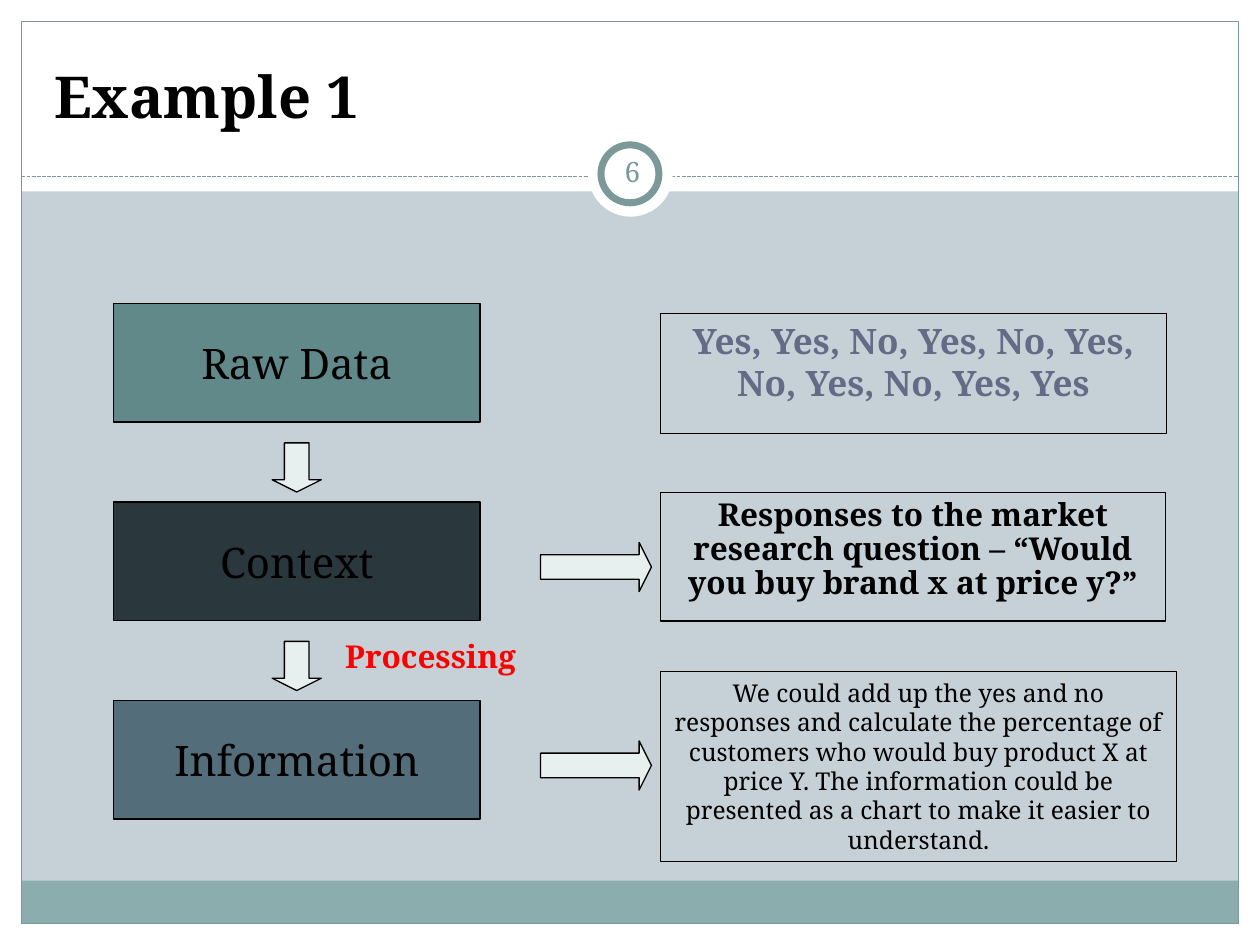
"""Build the Example 1 slide: raw data, context and information as a flow."""
from lxml import etree
from pptx import Presentation
from pptx.dml.color import RGBColor
from pptx.enum.dml import MSO_LINE
from pptx.enum.shapes import MSO_CONNECTOR, MSO_SHAPE
from pptx.enum.text import MSO_ANCHOR, MSO_AUTO_SIZE, PP_ALIGN
from pptx.oxml.ns import qn
from pptx.util import Inches, Pt

THEME = dict(
    font="Noto Serif", ground="C5D1D7", white="FFFFFF", black="000000",
    frame="7C999A", footer="8CADAE", arrow="E8EFEF", red="FF0000", violet="646B86",
    title=33, stage=24, answers=20, strong=18, number=16, body=14, hairline=0.75, ring=4,
)
WIDTH, HEIGHT, EDGE = 10, 7.5, 0.17
STAGE_LEFT, STAGE_TOP, STAGE_W, STAGE_H, PITCH = 0.9, 2.41, 2.91, 0.94, 1.575
ARROW, ARROW_LONG, ARROW_LEFT = 0.39, 0.88, 4.29
NOTE_LEFT = 5.24

STAGES = [("Raw Data", "61898A"), ("Context", "2A373D"), ("Information", "546D7A")]
NOTES = [
    dict(text="Yes, Yes, No, Yes, No, Yes, No, Yes, No, Yes, Yes", box=(2.49, 4.02, 0.95),
         size="answers", color="violet", bold=True, before=4),
    dict(text="Responses to the market research question – “Would you buy brand x at price y?”",
         box=(3.91, 4.01, 1.02), size="strong", bold=True, before=3.6, spacing=0.9),
    dict(text="We could add up the yes and no responses and calculate the percentage of "
              "customers who would buy product X at price Y. The information could be "
              "presented as a chart to make it easier to understand.",
         box=(5.33, 4.1, 1.51), size="body"),
]
BANDS = [
    ((0, HEIGHT - EDGE, WIDTH, EDGE), "white"),
    ((0, 0, WIDTH, 1.52), "white"),
    ((0, 0, EDGE, HEIGHT), "white"),
    ((WIDTH - EDGE, 0, EDGE, HEIGHT), "white"),
    ((EDGE, 6.99, WIDTH - 2 * EDGE, 0.34), "footer"),
]


def rgb(name):
    return RGBColor.from_string(THEME.get(name, name))


def inches(*lengths):
    return [Inches(length) for length in lengths]


def add_box(kind, box, fill=None, line=None, weight="hairline"):
    shape = slide.shapes.add_shape(kind, *inches(*box))
    shape.shadow.inherit = False
    if fill:
        shape.fill.solid()
        shape.fill.fore_color.rgb = rgb(fill)
    else:
        shape.fill.background()
    if line:
        shape.line.color.rgb = rgb(line)
        shape.line.width = Pt(THEME[weight])
    else:
        shape.line.fill.background()
    return shape


def write(shape, text, size, color="black", bold=False, align=PP_ALIGN.CENTER,
          anchor=MSO_ANCHOR.TOP, wrap=True, before=0, spacing=None):
    frame = shape.text_frame
    frame.word_wrap, frame.vertical_anchor = wrap, anchor
    paragraph = frame.paragraphs[0]
    paragraph.alignment, paragraph.space_before = align, Pt(before)
    if spacing:
        paragraph.line_spacing = spacing
    run = paragraph.add_run()
    run.text = text
    run.font.name, run.font.size, run.font.bold = THEME["font"], Pt(THEME[size]), bold
    run.font.color.rgb = rgb(color)
    return frame


def add_arrow(kind, box):
    arrow = add_box(kind, box, "arrow", "black")
    arrow.adjustments[0], arrow.adjustments[1] = 0.5, 0.25


def add_frame():
    for box, fill in BANDS:
        add_box(MSO_SHAPE.RECTANGLE, box, fill)
    add_box(MSO_SHAPE.RECTANGLE, (EDGE, EDGE, WIDTH - 2 * EDGE, HEIGHT - 2 * EDGE), line="frame")
    rule = slide.shapes.add_connector(
        MSO_CONNECTOR.STRAIGHT, *inches(EDGE, 1.4, WIDTH - EDGE, 1.4))
    rule.line.color.rgb = rgb("frame")
    rule.line.width = Pt(THEME["hairline"])
    rule.line.dash_style = MSO_LINE.SQUARE_DOT
    etree.SubElement(rule._element.spPr, qn("a:effectLst"))
    add_box(MSO_SHAPE.OVAL, (4.67, 1.05, 0.67, 0.67), "white")
    add_box(MSO_SHAPE.OVAL, (4.77, 1.15, 0.46, 0.46), "white", "frame", "ring")


def add_heading():
    title = slide.shapes.title
    title.left, title.top, title.width, title.height = inches(0.33, 0.25, 9.33, 0.83)
    write(title, "Example 1", "title", bold=True, align=PP_ALIGN.LEFT,
          anchor=MSO_ANCHOR.BOTTOM).auto_size = MSO_AUTO_SIZE.NONE
    title._element.getparent().append(title._element)
    number = slide.shapes.add_textbox(*inches(4.77, 1.12, 0.5, 0.48))
    frame = write(number, "6", "number", "frame", anchor=MSO_ANCHOR.MIDDLE)
    frame.margin_left = frame.margin_right = frame.margin_top = frame.margin_bottom = Inches(0.05)


def add_flow():
    for row, ((label, fill), note) in enumerate(zip(STAGES, NOTES)):
        top = STAGE_TOP + row * PITCH
        stage = add_box(MSO_SHAPE.RECTANGLE, (STAGE_LEFT, top, STAGE_W, STAGE_H), fill, "black")
        write(stage, label, "stage", anchor=MSO_ANCHOR.MIDDLE, wrap=False)
        if row:
            center = STAGE_LEFT + STAGE_W / 2
            add_arrow(MSO_SHAPE.DOWN_ARROW,
                      (center - ARROW / 2, top - 0.47, ARROW, ARROW))
            add_arrow(MSO_SHAPE.RIGHT_ARROW, (ARROW_LEFT, top + 0.32, ARROW_LONG, ARROW))
        style = dict(note)
        note_top, width, height = style.pop("box")
        box = add_box(MSO_SHAPE.RECTANGLE, (NOTE_LEFT, note_top, width, height), line="black")
        write(box, **style)
    label = slide.shapes.add_textbox(*inches(2.64, 5.01, 1.62, 0.4))
    write(label, "Processing", "strong", "red", True, PP_ALIGN.LEFT, wrap=False)


prs = Presentation()
prs.slide_width, prs.slide_height = inches(WIDTH, HEIGHT)
slide = prs.slides.add_slide(prs.slide_layouts[5])
slide.background.fill.solid()
slide.background.fill.fore_color.rgb = rgb("ground")
add_frame()
add_heading()
add_flow()
prs.save("out.pptx")
